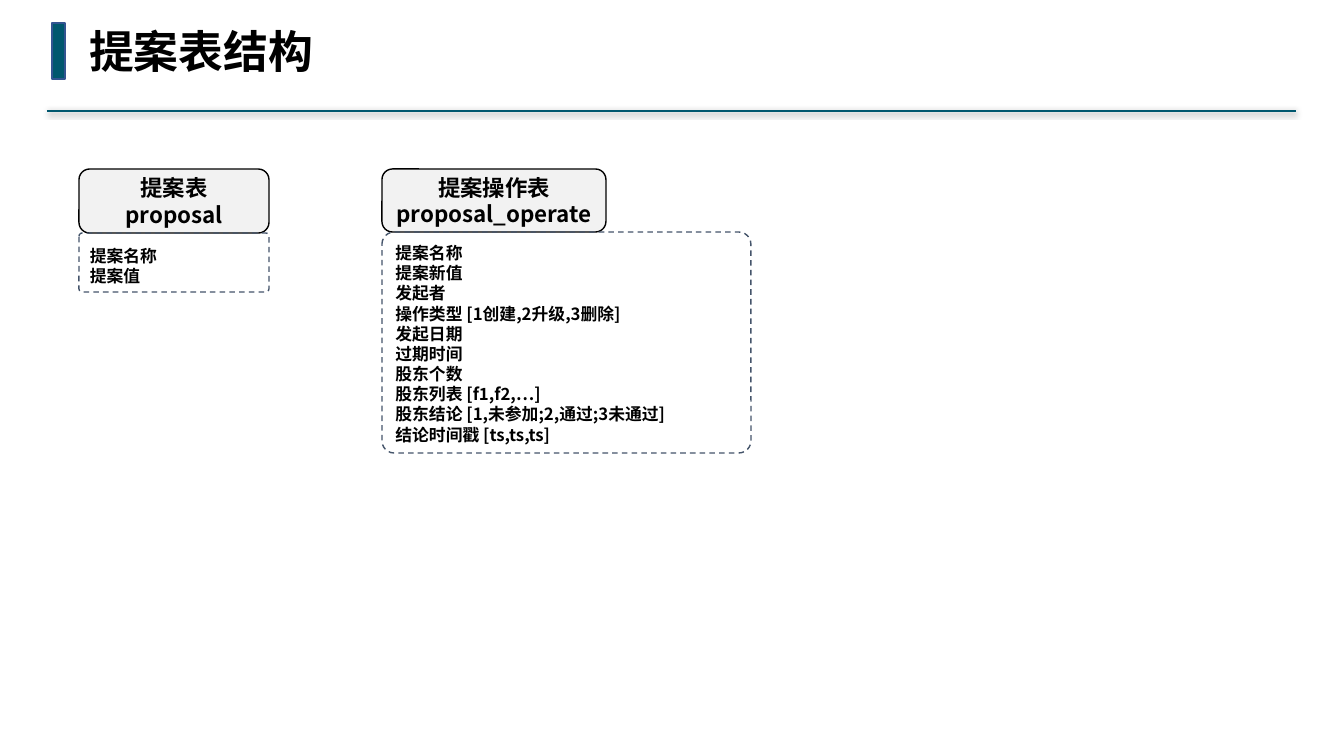
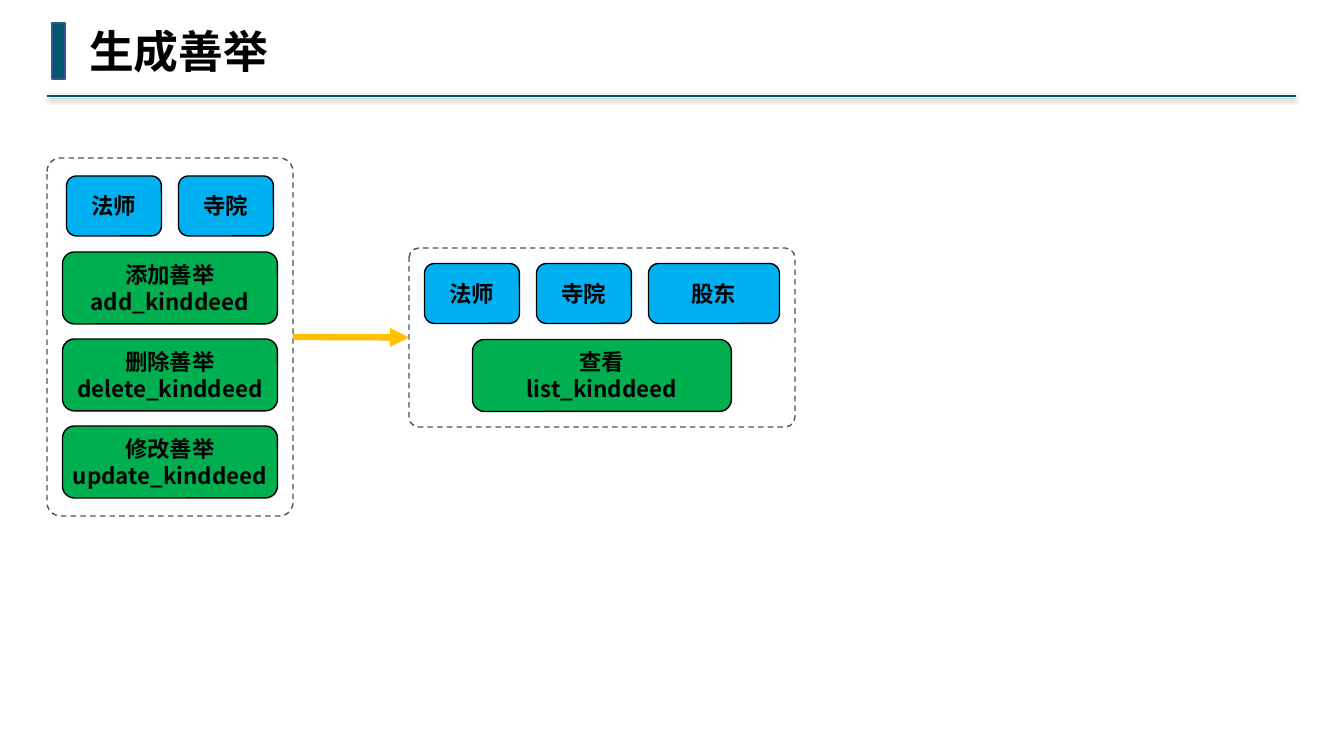
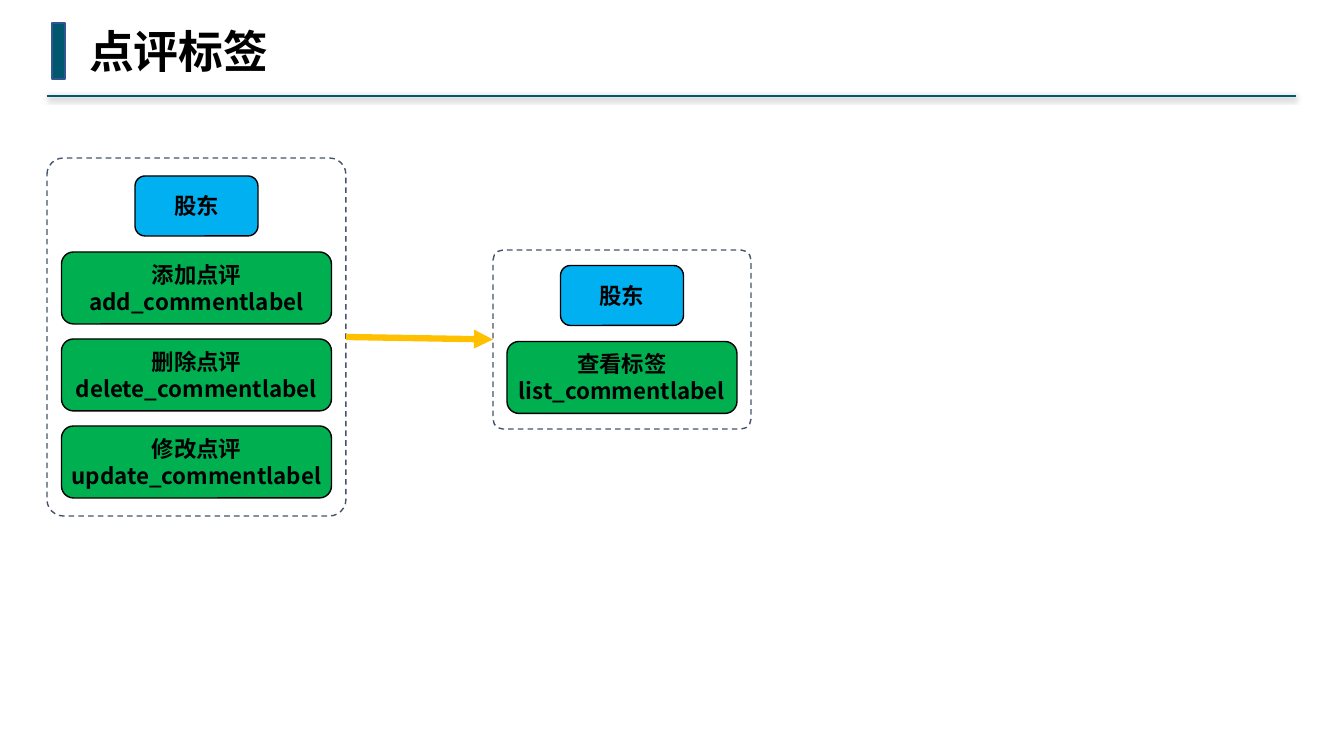
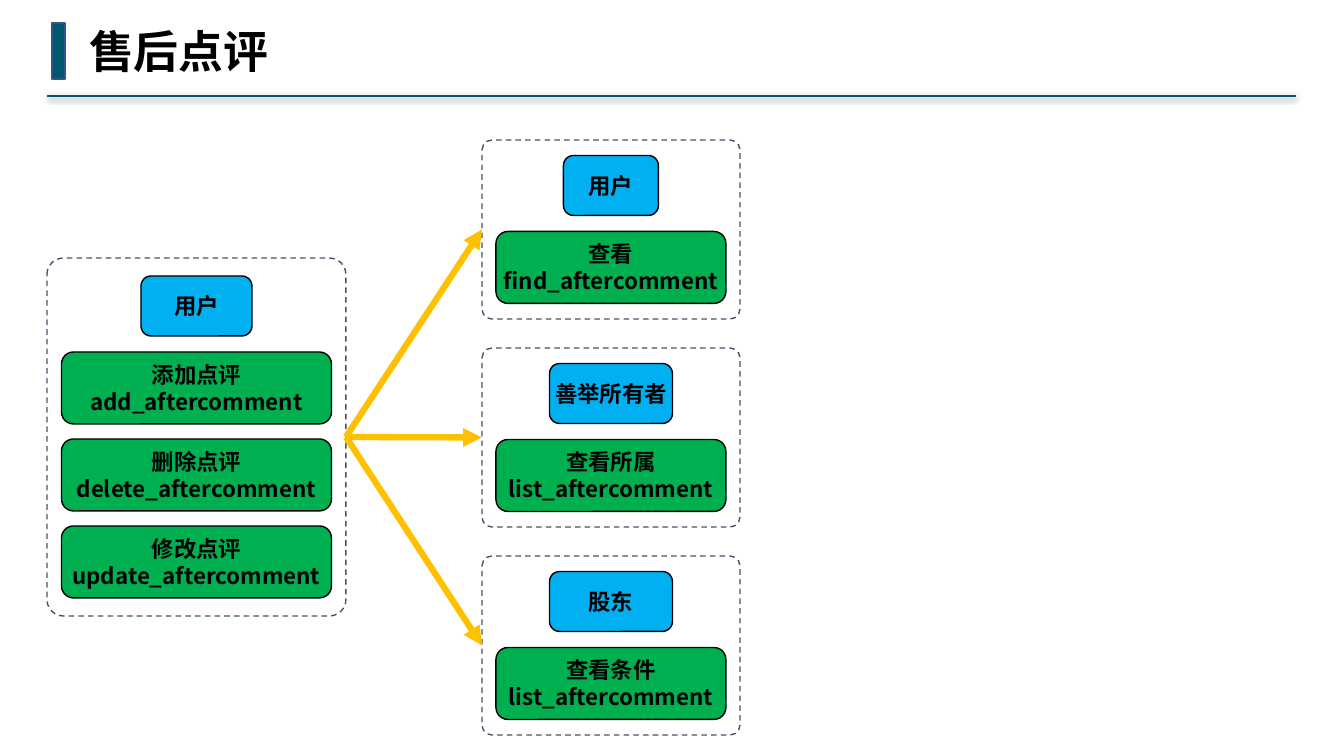
from dataclasses import dataclass
from typing import Any, Optional

from lxml import etree
from pptx import Presentation
from pptx import util as u
from pptx.dml.color import RGBColor
from pptx.enum import dml, shapes, text
from pptx.oxml.ns import qn

SCALE = 914400 / 100.8  # EMU per pixel


@dataclass(frozen=True)
class Theme:
    teal: str = "00576E"
    bar_edge: str = "325491"
    black: str = "000000"
    header: str = "F2F2F2"
    frame: str = "44546A"
    role: str = "00B0F0"
    action: str = "00B050"
    arrow: str = "FFC000"
    title_font: str = "Noto Sans Mono"
    body_font: str = "Noto Sans CJK SC"
    title_size: int = 32
    label_size: int = 16
    field_size: int = 12
    frame_corner: float = 0.055


THEME = Theme()


@dataclass(frozen=True)
class Rect:
    left: float
    top: float
    width: float
    height: float

    def emu(self) -> list[u.Emu]:
        return [px(v) for v in (self.left, self.top, self.width, self.height)]


@dataclass(frozen=True)
class Entity:
    """A database table: its header box and its list of fields."""
    header: Rect
    names: list[str]
    body: Rect
    fields: list[str]


@dataclass(frozen=True)
class Role:
    name: str
    width: int


@dataclass(frozen=True)
class Panel:
    """A dashed frame with a row of roles above a stack of actions."""
    area: Rect
    roles: list[Role]
    action_width: int
    actions: list[tuple[str, str]]


@dataclass(frozen=True)
class Flow:
    """A source panel with arrows to its target panels."""
    title: str
    source: Panel
    targets: list[Panel]


# Spacing inside panels
ROLE_HEIGHT, ROLE_GAP, ROW_GAP = 60, 17, 16
ACTION_HEIGHT, ACTION_GAP = 72, 15


# Drawing helpers
def px(value: float) -> u.Emu:
    return u.Emu(round(value * SCALE))


def set_all(target: Any, formats: dict[str, Any]) -> None:
    for name, value in formats.items():
        setattr(target, name, value)


def write(box: Any, lines: list[str], font: str, size: int,
          align: text.PP_ALIGN, frame: dict[str, Any]) -> None:
    set_all(box.text_frame, frame)
    box.text_frame.text = "\n".join(lines)
    for para in box.text_frame.paragraphs:
        para.alignment = align
        for span in para.runs:
            set_all(span.font, {"name": font, "size": u.Pt(size), "bold": True})
            span.font.color.rgb = RGBColor.from_string(THEME.black)
            east_asian = etree.SubElement(span._r.get_or_add_rPr(), qn("a:ea"))
            east_asian.set("typeface", font)


def draw_box(parent: Any, kind: shapes.MSO_SHAPE, area: Rect,
             fill: Optional[str], line: str) -> Any:
    box = parent.shapes.add_shape(kind, *area.emu())
    box.shadow.inherit = False
    if fill:
        box.fill.solid()
        box.fill.fore_color.rgb = RGBColor.from_string(fill)
    else:
        box.fill.background()
    box.line.color.rgb = RGBColor.from_string(line)
    box.line.width = u.Pt(1)
    return box


def draw_label(parent: Any, area: Rect, fill: str, lines: list[str]) -> None:
    box = draw_box(parent, shapes.MSO_SHAPE.ROUNDED_RECTANGLE, area, fill, THEME.black)
    frame = {"word_wrap": False, "vertical_anchor": text.MSO_ANCHOR.MIDDLE}
    frame |= {f"margin_{side}": px(4) for side in ("left", "top", "right", "bottom")}
    write(box, lines, THEME.body_font, THEME.label_size, text.PP_ALIGN.CENTER, frame)


def draw_frame(parent: Any, area: Rect) -> Any:
    box = draw_box(parent, shapes.MSO_SHAPE.ROUNDED_RECTANGLE, area, None, THEME.frame)
    box.adjustments[0] = THEME.frame_corner
    box.line.dash_style = dml.MSO_LINE.DASH
    return box


def draw_line(page: Any, ends: list[u.Emu], color: str, width: float) -> tuple[Any, Any]:
    """Return the connector and its effect list, which is left empty."""
    line = page.shapes.add_connector(shapes.MSO_CONNECTOR.STRAIGHT, *ends)
    line.line.color.rgb = RGBColor.from_string(color)
    line.line.width = u.Pt(width)
    return line, etree.SubElement(line._element.spPr, qn("a:effectLst"))


# Parts of a page
def add_page(deck: Any, title: str, rule_top: int = 96) -> Any:
    page = deck.slides.add_slide(deck.slide_layouts[5])
    _, effects = draw_line(page, [px(v) for v in (47, rule_top, 1296, rule_top)],
                           THEME.teal, 1.5)
    shadow = etree.SubElement(effects, qn("a:outerShdw"), blurRad=str(u.Pt(4)),
                              dist=str(u.Pt(1)), dir="5400000", rotWithShape="0")
    tint = etree.SubElement(shadow, qn("a:srgbClr"), val=THEME.black)
    etree.SubElement(tint, qn("a:alpha"), val="40000")
    draw_box(page, shapes.MSO_SHAPE.RECTANGLE, Rect(52, 23, 13, 56),
             THEME.teal, THEME.bar_edge)
    heading = page.shapes.title
    set_all(heading, dict(zip(("left", "top", "width", "height"),
                              Rect(79, 19, 45 * len(title) + 22, 64).emu())))
    write(heading, [title], THEME.title_font, THEME.title_size, text.PP_ALIGN.LEFT,
          {"word_wrap": False, "vertical_anchor": text.MSO_ANCHOR.TOP,
           "auto_size": text.MSO_AUTO_SIZE.SHAPE_TO_FIT_TEXT})
    return page


def draw_entity(page: Any, entity: Entity) -> None:
    draw_label(page, entity.header, THEME.header, entity.names)
    write(draw_frame(page, entity.body), entity.fields, THEME.body_font,
          THEME.field_size, text.PP_ALIGN.LEFT,
          {"word_wrap": True, "vertical_anchor": text.MSO_ANCHOR.BOTTOM})


def draw_panel(page: Any, panel: Panel) -> Any:
    """Centre the contents in the panel and return its frame."""
    group = page.shapes.add_group_shape()
    area = panel.area
    frame = draw_frame(group, area)
    center = area.left + area.width / 2
    pitch = ACTION_HEIGHT + ACTION_GAP
    content = ROLE_HEIGHT + ROW_GAP + len(panel.actions) * pitch - ACTION_GAP
    top = area.top + (area.height - content) / 2

    row_width = sum(role.width + ROLE_GAP for role in panel.roles) - ROLE_GAP
    left = center - row_width / 2
    for role in panel.roles:
        draw_label(group, Rect(left, top, role.width, ROLE_HEIGHT), THEME.role, [role.name])
        left += role.width + ROLE_GAP

    top += ROLE_HEIGHT + ROW_GAP
    for index, names in enumerate(panel.actions):
        place = Rect(center - panel.action_width / 2, top + index * pitch,
                     panel.action_width, ACTION_HEIGHT)
        draw_label(group, place, THEME.action, list(names))
    return frame


def draw_arrow(page: Any, source: Any, target: Any) -> None:
    arrow, _ = draw_line(page, [px(0)] * 4, THEME.arrow, 4.5)
    arrow.begin_connect(source, 3)  # right side
    arrow.end_connect(target, 1)  # left side
    etree.SubElement(arrow.line._get_or_add_ln(), qn("a:tailEnd"), type="triangle")


def draw_flow(deck: Any, flow: Flow) -> None:
    page = add_page(deck, flow.title)
    source = draw_panel(page, flow.source)
    for target in flow.targets:
        draw_arrow(page, source, draw_panel(page, target))


# Content
ENTITIES = [
    Entity(Rect(79, 169, 190, 64), ["提案表", "proposal"],
           Rect(79, 233, 190, 59), ["提案名称", "提案值"]),
    Entity(Rect(382, 169, 224, 63), ["提案操作表", "proposal_operate"],
           Rect(382, 232, 369, 221),
           ["提案名称", "提案新值", "发起者", "操作类型 [1创建,2升级,3删除]",
            "发起日期", "过期时间", "股东个数", "股东列表 [f1,f2,…]",
            "股东结论 [1,未参加;2,通过;3未通过]", "结论时间戳 [ts,ts,ts]"]),
]


def edit_actions(noun: str, suffix: str) -> list[tuple[str, str]]:
    verbs = (("添加", "add"), ("删除", "delete"), ("修改", "update"))
    return [(label + noun, f"{verb}_{suffix}") for label, verb in verbs]


MASTER, TEMPLE = Role("法师", 95), Role("寺院", 95)
SHAREHOLDER = Role("股东", 123)
REVIEW_VIEWS = [
    (Role("用户", 95), ("查看", "find_aftercomment")),
    (Role("善举所有者", 123), ("查看所属", "list_aftercomment")),
    (SHAREHOLDER, ("查看条件", "list_aftercomment")),
]

FLOWS = [
    Flow("生成善举",
         Panel(Rect(47, 158, 246, 358), [MASTER, TEMPLE], 215,
               edit_actions("善举", "kinddeed")),
         [Panel(Rect(409, 248, 386, 179), [MASTER, TEMPLE, Role("股东", 131)], 259,
                [("查看", "list_kinddeed")])]),
    Flow("点评标签",
         Panel(Rect(47, 158, 299, 358), [SHAREHOLDER], 270,
               edit_actions("点评", "commentlabel")),
         [Panel(Rect(493, 250, 258, 179), [SHAREHOLDER], 230,
                [("查看标签", "list_commentlabel")])]),
    Flow("售后点评",
         Panel(Rect(47, 258, 299, 358), [Role("用户", 111)], 270,
               edit_actions("点评", "aftercomment")),
         [Panel(Rect(482, 140 + 208 * row, 258, 179), [role], 230, [action])
          for row, (role, action) in enumerate(REVIEW_VIEWS)]),
]


def main() -> None:
    deck = Presentation()
    set_all(deck, {"slide_width": px(1344), "slide_height": px(756)})
    page = add_page(deck, "提案表结构", rule_top=111)
    for entity in ENTITIES:
        draw_entity(page, entity)
    for flow in FLOWS:
        draw_flow(deck, flow)
    deck.save("out.pptx")


main()
